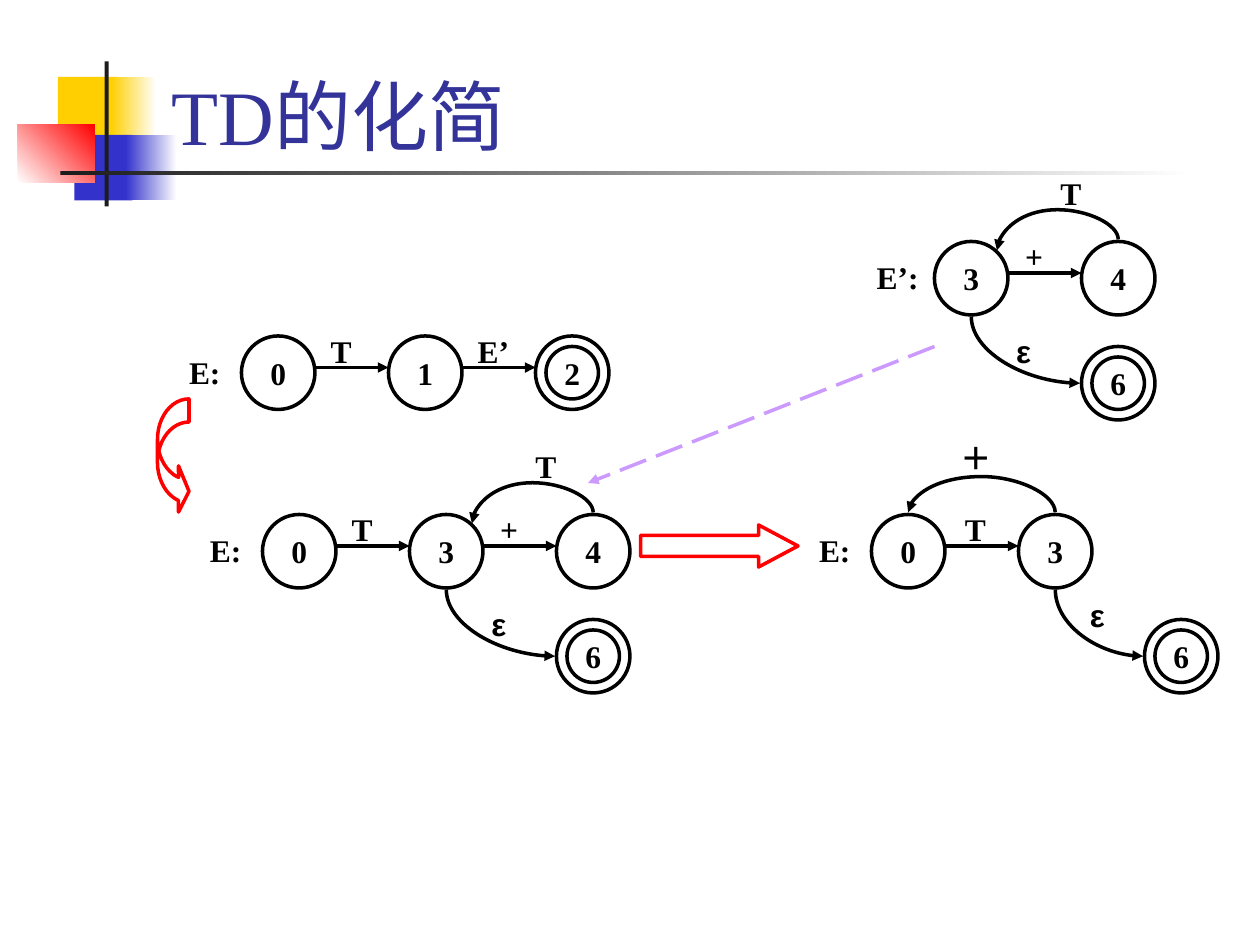
from lxml import etree
from pptx import Presentation
from pptx.dml.color import RGBColor
from pptx.enum.dml import MSO_LINE
from pptx.enum.shapes import MSO_CONNECTOR, MSO_SHAPE
from pptx.enum.text import MSO_ANCHOR, MSO_AUTO_SIZE, PP_ALIGN
from pptx.oxml.ns import qn
from pptx.util import Cm, Pt

RECT, OVAL = MSO_SHAPE.RECTANGLE, MSO_SHAPE.OVAL
STRAIGHT, CURVE = MSO_CONNECTOR.STRAIGHT, MSO_CONNECTOR.CURVE
SERIF, SANS = "Times New Roman", "Arial"
BLACK, RED, WHITE = "000000", "FF0000", "FFFFFF"

# Decoration in cm: left, top, width, height, colours, gradient angle
DECOR = [
    (1.17, 1.55, 1.22, 1.32, ["FFCF01"], 0),
    (2.24, 1.55, 0.91, 1.32, ["FFCF01", WHITE], 0),
    (1.5, 2.72, 1.17, 1.32, ["3333CC"], 0),
    (2.54, 2.72, 1.02, 1.32, ["3333CC", WHITE], 0),
    (0.36, 2.51, 1.55, 1.17, [WHITE, RED], 45),
    (2.11, 1.24, 0.08, 2.92, ["1C1C1C"], 0),
    (1.22, 3.45, 22.86, 0.08, ["1C1C1C", WHITE], 0),
]

# Diagrams lie on a grid of 12 steps to the inch.
STEP = 2.54 / 12
DIAMETER, PITCH, RING = 7, 14, 1

# states: a row from left to right; "final": column and row of a double circle;
# labels: text, left, top, width; epsilon: state index where the branch starts;
# loop: start, end and rise of the arc that leads back
DIAGRAMS = [
    dict(name="E’:", at=(89, 23), states="34", final=("6", 103, 33), epsilon=0,
         loop=((106.5, 22.8), (94.95, 23.85), 2.83),
         labels=[("+", 96, 22, 5), ("T", 99, 16, 6), ("ε", 95, 31, 5)]),
    dict(name="E:", at=(23, 32), states="01", final=("2", 51, 32),
         labels=[("T", 30, 31, 5), ("E’", 44, 31, 6)]),
    dict(name="E:", at=(25, 49), states="034", final=("6", 53, 59), epsilon=1,
         loop=((56.5, 48.8), (44.95, 49.85), 2.83),
         labels=[("T", 32, 48, 5), ("+", 46, 48, 5), ("T", 49, 42, 6),
                 ("ε", 45, 57, 5)]),
    dict(name="E:", at=(83, 49), states="03", final=("6", 109, 59), epsilon=1,
         loop=((100.5, 48.8), (86.5, 48.8), 3.6),
         labels=[("T", 90.4, 48, 5), ("＋", 90, 41.2, 6), ("ε", 102, 56.2, 5)]),
]

# Red block arrows: shape, grid box, adjustments
BLOCK_ARROWS = [
    (MSO_SHAPE.CURVED_RIGHT_ARROW, (15, 38, 3, 11), (0.733, 1.467, 0.333)),
    (MSO_SHAPE.RIGHT_ARROW, (61, 50, 15, 4), (0.5, 0.938)),
]


def rgb(value):
    return RGBColor.from_string(value)


def grid(*values):
    return [Cm(v * STEP) for v in values]


def add_outline(shape, box, color=BLACK):
    sp = slide.shapes.add_shape(shape, *grid(*box))
    sp.shadow.inherit = False
    sp.fill.background()
    sp.line.color.rgb = rgb(color)
    sp.line.width = Pt(2)
    return sp


def write(tf, text):
    tf.text = text
    p = tf.paragraphs[0]
    p.alignment = PP_ALIGN.CENTER
    font = p.runs[0].font
    font.name = SANS if text == "ε" else SERIF
    font.size, font.bold = Pt(18), True
    font.color.rgb = rgb(BLACK)


def add_label(text, left, top, width):
    tf = slide.shapes.add_textbox(*grid(left, top, width, 4.8)).text_frame
    tf.word_wrap = True
    tf.auto_size = MSO_AUTO_SIZE.SHAPE_TO_FIT_TEXT
    write(tf, text)


def add_state(text, left, top, final=False):
    sp = add_outline(OVAL, (left, top, DIAMETER, DIAMETER))
    if final:
        inner = DIAMETER - 2 * RING
        sp = add_outline(OVAL, (left + RING, top + RING, inner, inner))
    tf = sp.text_frame
    tf.margin_left = tf.margin_right = tf.margin_top = tf.margin_bottom = 0
    tf.vertical_anchor = MSO_ANCHOR.MIDDLE
    write(tf, text)


def add_arrow(start, end, color=BLACK, kind=STRAIGHT, dash=None):
    cxn = slide.shapes.add_connector(kind, *grid(*start, *end))
    cxn.line.color.rgb = rgb(color)
    cxn.line.width = Pt(2)
    if dash:
        cxn.line.dash_style = dash
    etree.SubElement(cxn.line._get_or_add_ln(), qn("a:tailEnd"), type="triangle")
    etree.SubElement(cxn._element.spPr, qn("a:effectLst"))
    return cxn


def add_curve(start, end, rise=None):
    """Arc that leaves vertically; with a rise it climbs that far and turns back."""
    (x1, y1), (x2, y2) = start, end
    width, height = max(y2 - y1, 0.02), abs(x2 - x1)
    left, top = (x1 + x2 - width) / 2, (y1 + y2 - height) / 2
    cxn = add_arrow((left, top), (left + width, top + height), kind=CURVE)
    sp_pr = cxn._element.spPr
    xfrm, geom = sp_pr.find(qn("a:xfrm")), sp_pr.find(qn("a:prstGeom"))
    xfrm.set("rot", "16200000")
    xfrm.set("flipH", "1")
    if rise is None:
        geom.set("prst", "curvedConnector2")
    else:
        xfrm.set("flipV", "1")
        etree.SubElement(geom.find(qn("a:avLst")), qn("a:gd"), name="adj1",
                         fmla=f"val {round(-rise / width * 100000)}")


def add_diagram(d):
    left, top = d["at"]
    text, final_x, final_y = d["final"]
    add_label(d["name"], left - 7, top + 1, 7)
    columns = [left + i * PITCH for i in range(len(d["states"]))]
    for state, x in zip(d["states"], columns):
        add_state(state, x, top)
    add_state(text, final_x, final_y, final=True)
    in_row = columns + [final_x] if final_y == top else columns
    for a, b in zip(in_row, in_row[1:]):
        add_arrow((a + DIAMETER, top + 3), (b, top + 3))
    if "epsilon" in d:
        x = columns[d["epsilon"]] + DIAMETER / 2
        add_curve((x, top + 7.15), (final_x - 0.15, final_y + DIAMETER / 2))
        add_curve(*d["loop"])
    for label in d["labels"]:
        add_label(*label)


prs = Presentation()
prs.slide_width, prs.slide_height = Cm(25.4), Cm(19.05)
slide = prs.slides.add_slide(prs.slide_layouts[5])

for *box, colors, angle in DECOR:
    sp = slide.shapes.add_shape(RECT, *map(Cm, box))
    sp.shadow.inherit = False
    sp.line.fill.background()
    if len(colors) == 1:
        sp.fill.solid()
        sp.fill.fore_color.rgb = rgb(colors[0])
    else:
        sp.fill.gradient()
        sp.fill.gradient_angle = angle
        for stop, color in zip(sp.fill.gradient_stops, colors):
            stop.color.rgb = rgb(color)

title = slide.shapes.title
title.left, title.top, title.width, title.height = map(Cm, (3.2, 0.2, 21.64, 3.18))
tf = title.text_frame
tf.text = "TD的化简"
tf.vertical_anchor = MSO_ANCHOR.BOTTOM
p = tf.paragraphs[0]
p.alignment = PP_ALIGN.LEFT
font = p.runs[0].font
font.name, font.size = SERIF, Pt(44)
font.color.rgb = rgb("333399")

for diagram in DIAGRAMS:
    add_diagram(diagram)
for shape, box, adjustments in BLOCK_ARROWS:
    sp = add_outline(shape, box, RED)
    for i, value in enumerate(adjustments):
        sp.adjustments[i] = value
add_arrow((89, 33), (56, 46), "CC99FF", dash=MSO_LINE.LONG_DASH)

prs.save("out.pptx")
